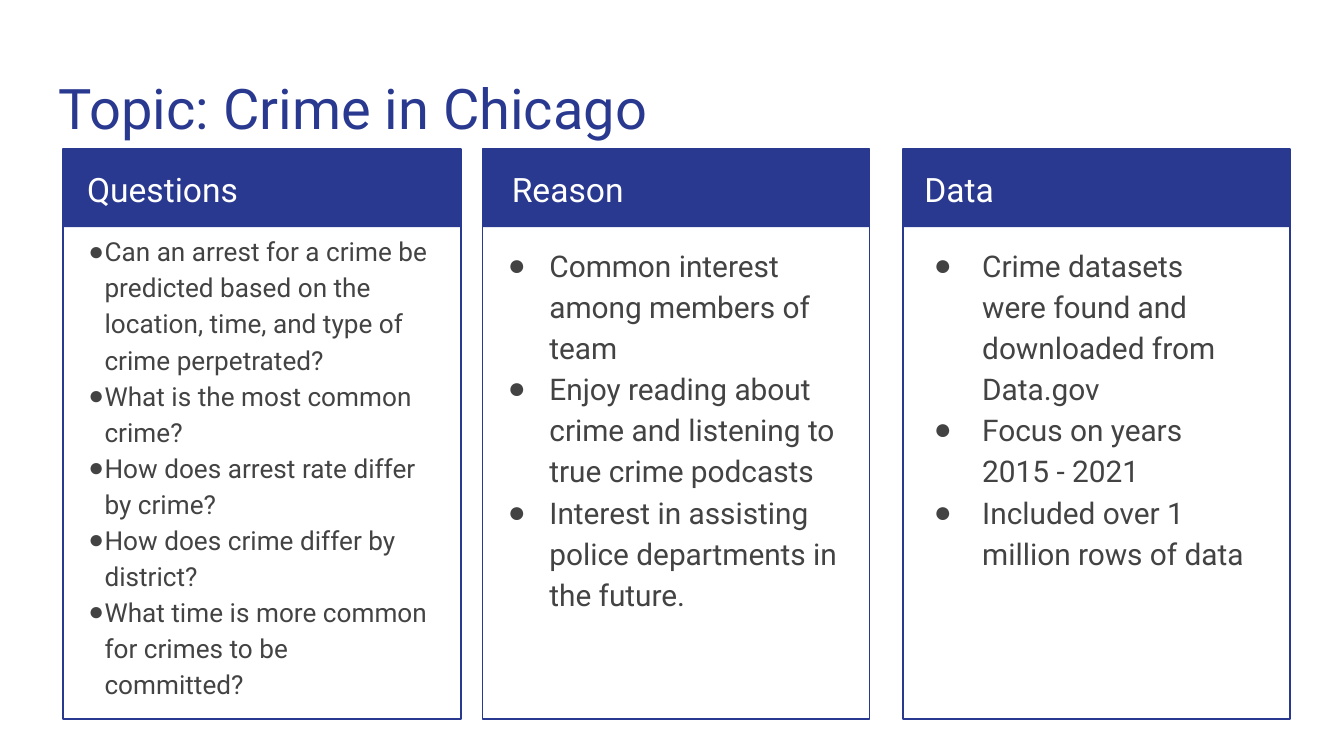
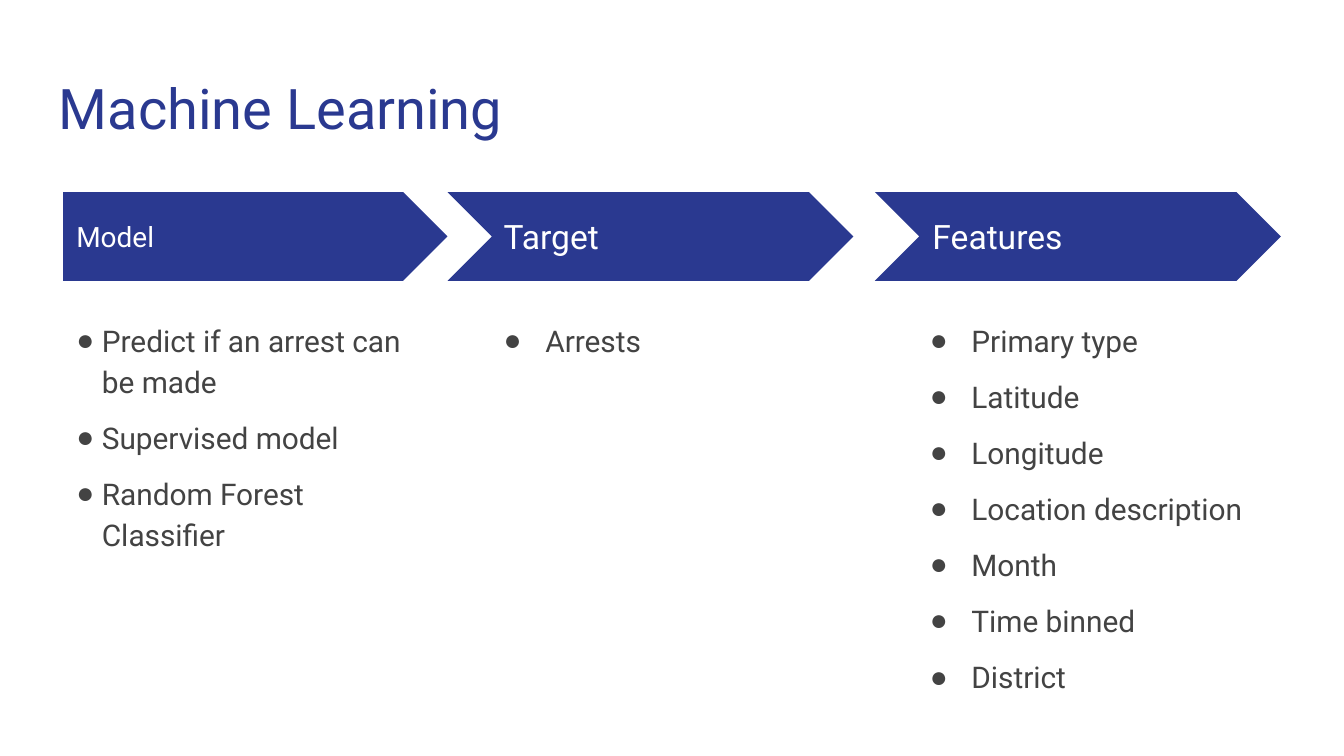
from dataclasses import dataclass

from lxml.etree import SubElement
from pptx import Presentation
from pptx.dml.color import RGBColor
from pptx.enum.shapes import MSO_SHAPE as Preset
from pptx.enum.text import MSO_ANCHOR as Anchor
from pptx.oxml.ns import qn
from pptx.util import Inches, Pt

FONT, BULLET_FONT = "Roboto", "Arial"
NAVY, GREY, WHITE = "2A3990", "434343", "FFFFFF"
BAND_TOP, BAND_HEIGHT, CARD_HEIGHT = 1.11, 0.58, 4.24
ARROW_TOP, ARROW_HEIGHT = 1.43, 0.66


@dataclass(frozen=True)
class Bullets:
    """A bulleted list with its place, indents and text size."""
    items: tuple[str, ...]
    left: float
    top: float
    width: float
    height: float
    margin: float
    hanging: float
    size: int = 16
    gap: int = 0


@dataclass(frozen=True)
class Column:
    """A headed column: a card on one slide, an arrow step on the other."""
    heading: str
    left: float
    width: float
    heading_left: float
    bullets: Bullets
    heading_size: int = 18
    outline: Preset = Preset.CHEVRON


CARDS = (
    Column("Questions", 0.47, 2.96, 0.55, Bullets((
        "Can an arrest for a crime be predicted based on the location, time, "
        "and type of crime perpetrated?",
        "What is the most common crime?",
        "How does arrest rate differ by crime?",
        "How does crime differ by district?",
        "What time is more common for crimes to be committed?",
    ), 0.56, 1.62, 2.73, 3.74, 0.12, 0.16, size=14)),
    Column("Reason", 3.59, 2.88, 3.71, Bullets((
        "Common interest among members of team",
        "Enjoy reading about crime and listening to true crime podcasts",
        "Interest in assisting police departments in the future.",
    ), 3.68, 1.7, 2.71, 3.06, 0.31, 0.36)),
    Column("Data", 6.72, 2.88, 6.78, Bullets((
        "Crime datasets were found and downloaded from Data.gov",
        "Focus on years 2015 - 2021",
        "Included over 1 million rows of data",
    ), 6.71, 1.7, 2.71, 3.06, 0.5, 0.36)),
)

STEPS = (
    Column("Model", 0.47, 2.86, 0.47, Bullets((
        "Predict if an arrest can be made",
        "Supervised model",
        "Random Forest Classifier",
    ), 0.47, 2.26, 2.7, 2.9, 0.19, 0.24, gap=8),
        heading_size=15, outline=Preset.PENTAGON),
    Column("Target", 3.33, 3.02, 3.65, Bullets((
        "Arrests",
    ), 3.65, 2.26, 2.7, 2.9, 0.31, 0.36, gap=8)),
    Column("Features", 6.51, 3.02, 6.84, Bullets((
        "Primary type", "Latitude", "Longitude", "Location description",
        "Month", "Time binned", "District",
    ), 6.82, 2.26, 2.7, 2.9, 0.31, 0.36, gap=8)),
)


def rgb(value: str) -> RGBColor:
    """Turn a hex string into a colour."""
    return RGBColor.from_string(value)


def add_text(slide, text: str | tuple[str, ...], left: float, top: float,
             width: float, height: float, *, size: int, color: str,
             spacing: float = 1.0, gap: int = 0, anchor: Anchor = Anchor.TOP):
    """Add a text box with one paragraph per string and return its frame."""
    box = slide.shapes.add_textbox(
        Inches(left), Inches(top), Inches(width), Inches(height))
    frame = box.text_frame
    frame.word_wrap = True
    frame.vertical_anchor = anchor
    frame.margin_left = frame.margin_right = Inches(0.1)
    frame.margin_top = frame.margin_bottom = Inches(0.1)
    lines = (text,) if isinstance(text, str) else text
    for index, line in enumerate(lines):
        paragraph = frame.add_paragraph() if index else frame.paragraphs[0]
        paragraph.line_spacing = spacing
        paragraph.space_before = Pt(gap if index else 0)
        run = paragraph.add_run()
        run.text = line
        run.font.name = FONT
        run.font.size = Pt(size)
        run.font.color.rgb = rgb(color)
    return frame


def add_bullets(slide, bullets: Bullets) -> None:
    """Add a list with hanging round bullets."""
    frame = add_text(slide, bullets.items, bullets.left, bullets.top,
                     bullets.width, bullets.height, size=bullets.size,
                     color=GREY, spacing=1.15, gap=bullets.gap)
    for paragraph in frame.paragraphs:
        properties = paragraph._p.get_or_add_pPr()
        properties.set("marL", str(Inches(bullets.margin)))
        properties.set("indent", str(-Inches(bullets.hanging)))
        bullet_color = SubElement(properties, qn("a:buClr"))
        SubElement(bullet_color, qn("a:srgbClr"), val=GREY)
        SubElement(properties, qn("a:buFont"), typeface=BULLET_FONT)
        SubElement(properties, qn("a:buChar"), char="●")


def add_panel(slide, preset: Preset, left: float, top: float, width: float,
              height: float, *, filled: bool) -> None:
    """Add a navy shape, either filled or only outlined."""
    panel = slide.shapes.add_shape(
        preset, Inches(left), Inches(top), Inches(width), Inches(height))
    panel.shadow.inherit = False
    if filled:
        panel.fill.solid()
        panel.fill.fore_color.rgb = rgb(NAVY)
        panel.line.fill.background()
    else:
        panel.fill.background()
        panel.line.color.rgb = rgb(NAVY)
        panel.line.width = Pt(0.75)


def add_card(slide, card: Column) -> None:
    """Add a framed card with a heading band and bullets."""
    for height, filled in ((BAND_HEIGHT, True), (CARD_HEIGHT, False)):
        add_panel(slide, Preset.RECTANGLE, card.left, BAND_TOP, card.width,
                  height, filled=filled)
    add_text(slide, card.heading, card.heading_left, BAND_TOP, 2.73, 0.5,
             size=card.heading_size, color=WHITE, spacing=1.15)
    add_bullets(slide, card.bullets)


def add_step(slide, step: Column) -> None:
    """Add an arrow step with its heading and bullets."""
    add_panel(slide, step.outline, step.left, ARROW_TOP, step.width,
              ARROW_HEIGHT, filled=True)
    add_text(slide, step.heading, step.heading_left, 1.59, 2.47, 0.34,
             size=step.heading_size, color=WHITE, anchor=Anchor.MIDDLE)
    add_bullets(slide, step.bullets)


def add_titled_slide(deck, title: str):
    """Add a blank slide with the shared title style."""
    slide = deck.slides.add_slide(deck.slide_layouts[6])
    add_text(slide, title, 0.34, 0.45, 9.32, 0.66, size=30, color=NAVY)
    return slide


def main() -> None:
    """Build both slides and save the deck."""
    deck = Presentation()
    deck.slide_width = Inches(10)
    deck.slide_height = Inches(10) * 9 // 16
    topic = add_titled_slide(deck, "Topic: Crime in Chicago")
    for card in CARDS:
        add_card(topic, card)
    learning = add_titled_slide(deck, "Machine Learning")
    for step in STEPS:
        add_step(learning, step)
    deck.save("out.pptx")


if __name__ == "__main__":
    main()
